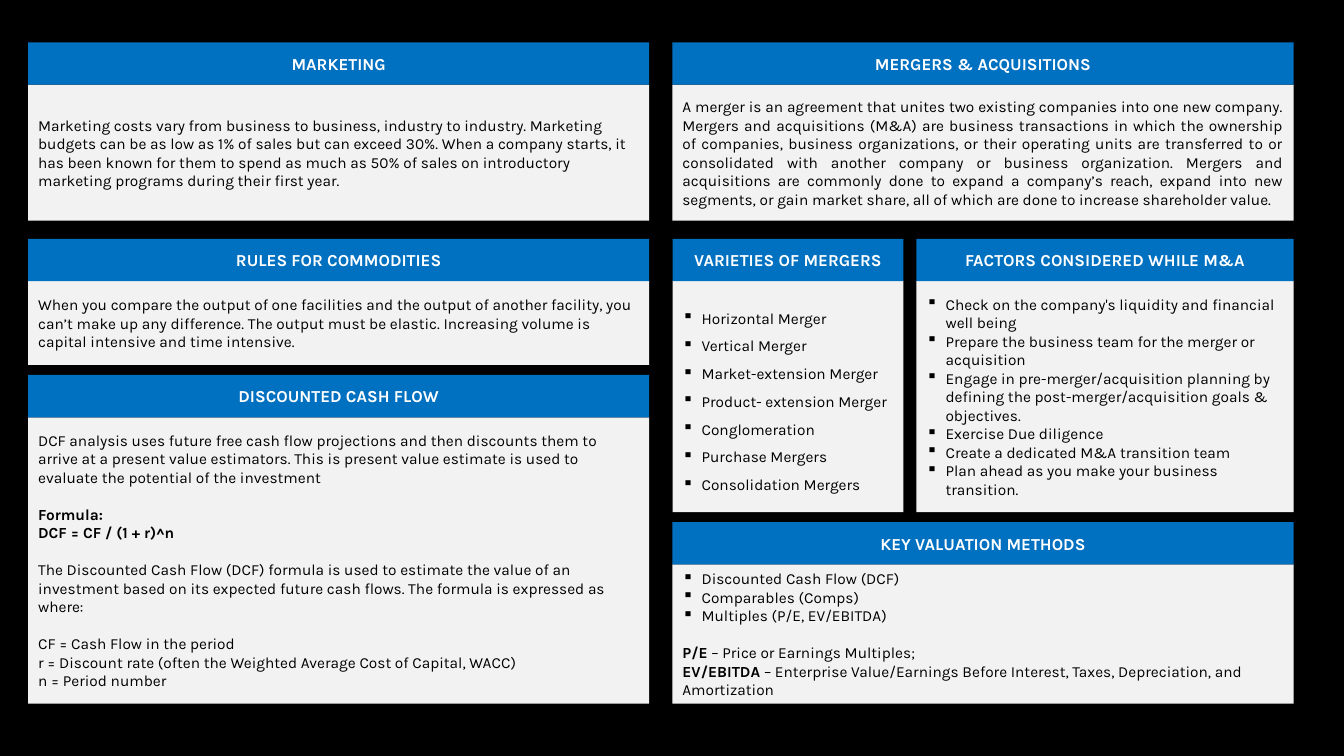
from collections import namedtuple

from lxml import etree
from pptx import Presentation
from pptx import util as u
from pptx.dml.color import RGBColor
from pptx.enum import shapes, text
from pptx.oxml.ns import qn

Line = namedtuple("Line", "plain bold gap bullet spacing align",
                  defaults=("", "", 0, False, 1.0, text.PP_ALIGN.LEFT))
Panel = namedtuple("Panel", "title left top width body_height lines")

FONT = "Karla"
BLACK, WHITE, BLUE, GREY = "000000", "FFFFFF", "0070C0", "F2F2F2"
HEADER_HEIGHT = 0.42
LEFT, RIGHT, FACTORS_LEFT = 0.28, 6.67, 9.09
WIDE, VARIETIES_WIDTH, FACTORS_WIDTH = 6.16, 2.29, 3.74
ROW_1, ROW_2 = 0.42, 2.37
INDENT = 0.19
BLOCK_GAP = 13.2

VARIETIES = ["Horizontal Merger", "Vertical Merger", "Market-extension Merger",
             "Product- extension Merger", "Conglomeration", "Purchase Mergers",
             "Consolidation Mergers"]
FACTORS = [
    "Check on the company's liquidity and financial well being",
    "Prepare the business team for the merger or acquisition",
    "Engage in pre-merger/acquisition planning by defining the "
    "post-merger/acquisition goals & objectives.",
    "Exercise Due diligence",
    "Create a dedicated M&A transition team",
    "Plan ahead as you make your business transition.",
]
METHODS = ["Discounted Cash Flow (DCF)", "Comparables (Comps)",
           "Multiples (P/E, EV/EBITDA)"]

PANELS = [
    Panel("MARKETING", LEFT, ROW_1, WIDE, 1.35, [
        Line("Marketing costs vary from business to business, industry to industry. "
             "Marketing budgets can be as low as 1% of sales but can exceed 30%. When a "
             "company starts, it has been known for them to spend as much as 50% of sales "
             "on introductory marketing programs during their first year.")]),
    Panel("RULES FOR COMMODITIES", LEFT, ROW_2, WIDE, 0.83, [
        Line("When you compare the output of one facilities and the output of another "
             "facility, you can’t make up any difference. The output must be elastic. "
             "Increasing volume is capital intensive and time intensive.")]),
    Panel("DISCOUNTED CASH FLOW", LEFT, 3.72, WIDE, 2.84, [
        Line("DCF analysis uses future free cash flow projections and then discounts "
             "them to arrive at a present value estimators. This is present value "
             "estimate is used to evaluate the potential of the investment"),
        Line(bold="Formula:", gap=BLOCK_GAP),
        Line(bold="DCF = CF / (1 + r)^n"),
        Line("The Discounted Cash Flow (DCF) formula is used to estimate the value of an "
             "investment based on its expected future cash flows. The formula is "
             "expressed as where:", gap=BLOCK_GAP),
        Line("CF = Cash Flow in the period", gap=BLOCK_GAP),
        Line("r = Discount rate (often the Weighted Average Cost of Capital, WACC)"),
        Line("n = Period number")]),
    Panel("MERGERS & ACQUISITIONS", RIGHT, ROW_1, WIDE, 1.35, [
        Line("A merger is an agreement that unites two existing companies into one new "
             "company. Mergers and acquisitions (M&A) are business transactions in which "
             "the ownership of companies, business organizations, or their operating "
             "units are transferred to or consolidated with another company or business "
             "organization. Mergers and acquisitions are commonly done to expand a "
             "company’s reach, expand into new segments, or gain market share, all of "
             "which are done to increase shareholder value.",
             align=text.PP_ALIGN.JUSTIFY)]),
    Panel("VARIETIES OF MERGERS", RIGHT, ROW_2, VARIETIES_WIDTH, 2.29,
          [Line(item, bullet=True, spacing=1.5) for item in VARIETIES]),
    Panel("FACTORS CONSIDERED WHILE M&A", FACTORS_LEFT, ROW_2, FACTORS_WIDTH, 2.29,
          [Line(item, bullet=True) for item in FACTORS]),
    Panel("KEY VALUATION METHODS", RIGHT, 5.18, WIDE, 1.38,
          [Line(item, bullet=True) for item in METHODS] + [
              Line(" – Price or Earnings Multiples;", "P/E", gap=BLOCK_GAP),
              Line(" – Enterprise Value/Earnings Before Interest, Taxes, Depreciation, "
                   "and Amortization", "EV/EBITDA")]),
]


def color(value):
    return RGBColor.from_string(value)


def apply(target, **values):
    for name, value in values.items():
        setattr(target, name, value)


def add_bullet(paragraph):
    properties = paragraph._p.get_or_add_pPr()
    properties.set("marL", str(u.Inches(INDENT)))
    properties.set("indent", str(-u.Inches(INDENT)))
    etree.SubElement(properties, qn("a:buChar")).set("char", "▪")


def add_box(slide, left, top, width, height, fill, lines, size, text_color):
    shape = slide.shapes.add_shape(shapes.MSO_SHAPE.RECTANGLE,
                                   *map(u.Inches, (left, top, width, height)))
    shape.shadow.inherit = False
    shape.fill.solid()
    shape.fill.fore_color.rgb = color(fill)
    shape.line.fill.background()
    frame = shape.text_frame
    apply(frame, word_wrap=True, vertical_anchor=text.MSO_ANCHOR.MIDDLE)
    for index, line in enumerate(lines):
        paragraph = frame.add_paragraph() if index else frame.paragraphs[0]
        if line.bullet:
            add_bullet(paragraph)
        apply(paragraph, alignment=line.align, line_spacing=line.spacing,
              space_before=u.Pt(line.gap))
        for content, bold in ((line.bold, True), (line.plain, False)):
            if content:
                run = paragraph.add_run()
                run.text = content
                apply(run.font, name=FONT, size=u.Pt(size), bold=bold)
                run.font.color.rgb = color(text_color)


def add_panel(slide, panel):
    """Draw a panel's body with its title bar directly above it."""
    add_box(slide, panel.left, panel.top + HEADER_HEIGHT, panel.width,
            panel.body_height, GREY, panel.lines, 11, BLACK)
    title = Line(bold=panel.title, align=text.PP_ALIGN.CENTER)
    add_box(slide, panel.left, panel.top, panel.width, HEADER_HEIGHT,
            BLUE, [title], 12, WHITE)


def main():
    presentation = Presentation()
    apply(presentation, slide_width=u.Inches(13.33), slide_height=u.Inches(7.5))
    slide = presentation.slides.add_slide(presentation.slide_layouts[6])
    slide.background.fill.solid()
    slide.background.fill.fore_color.rgb = color(BLACK)
    for panel in PANELS:
        add_panel(slide, panel)
    presentation.save("out.pptx")


if __name__ == "__main__":
    main()
